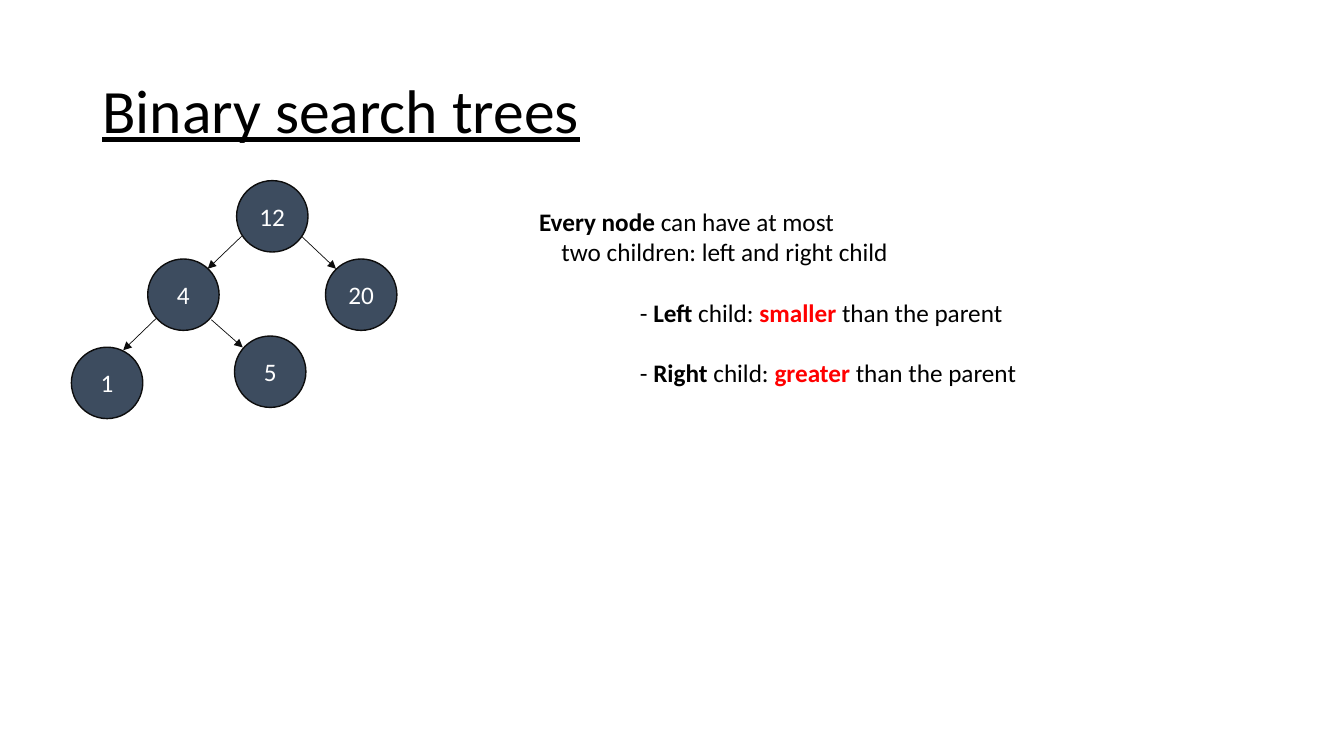
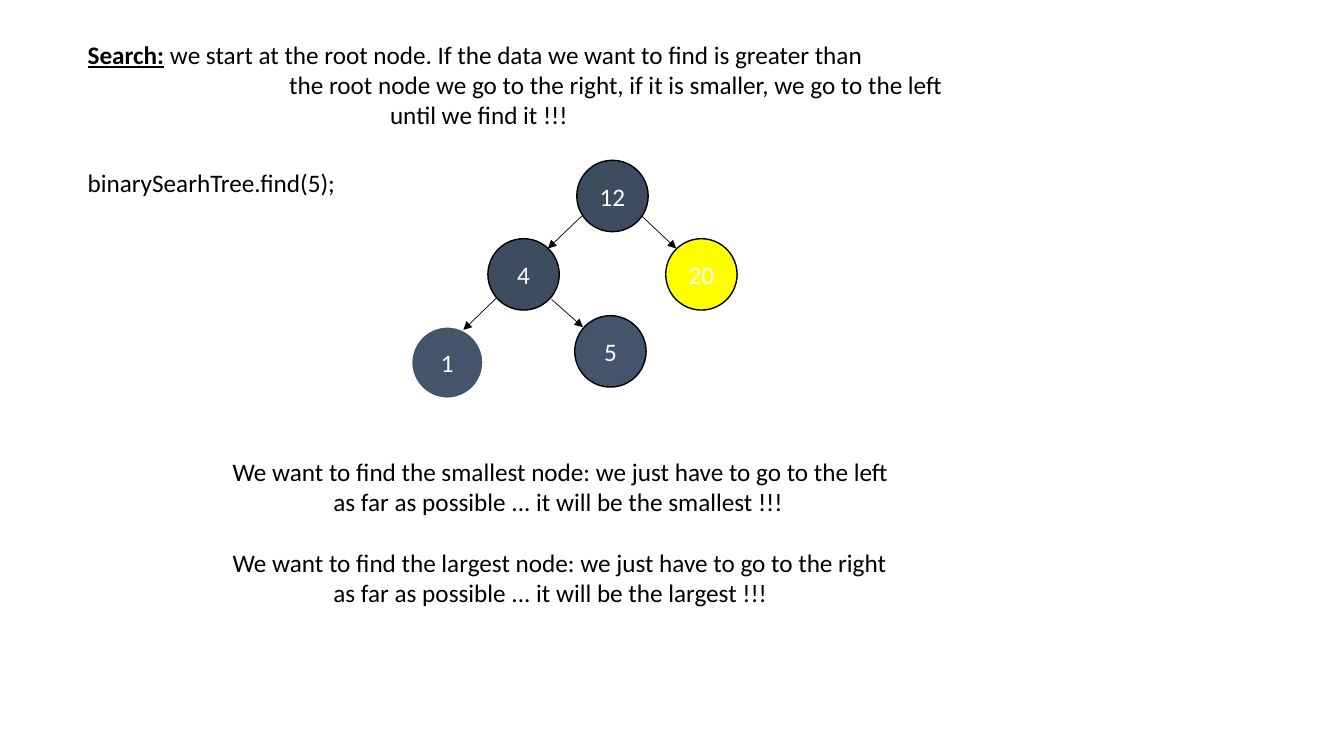
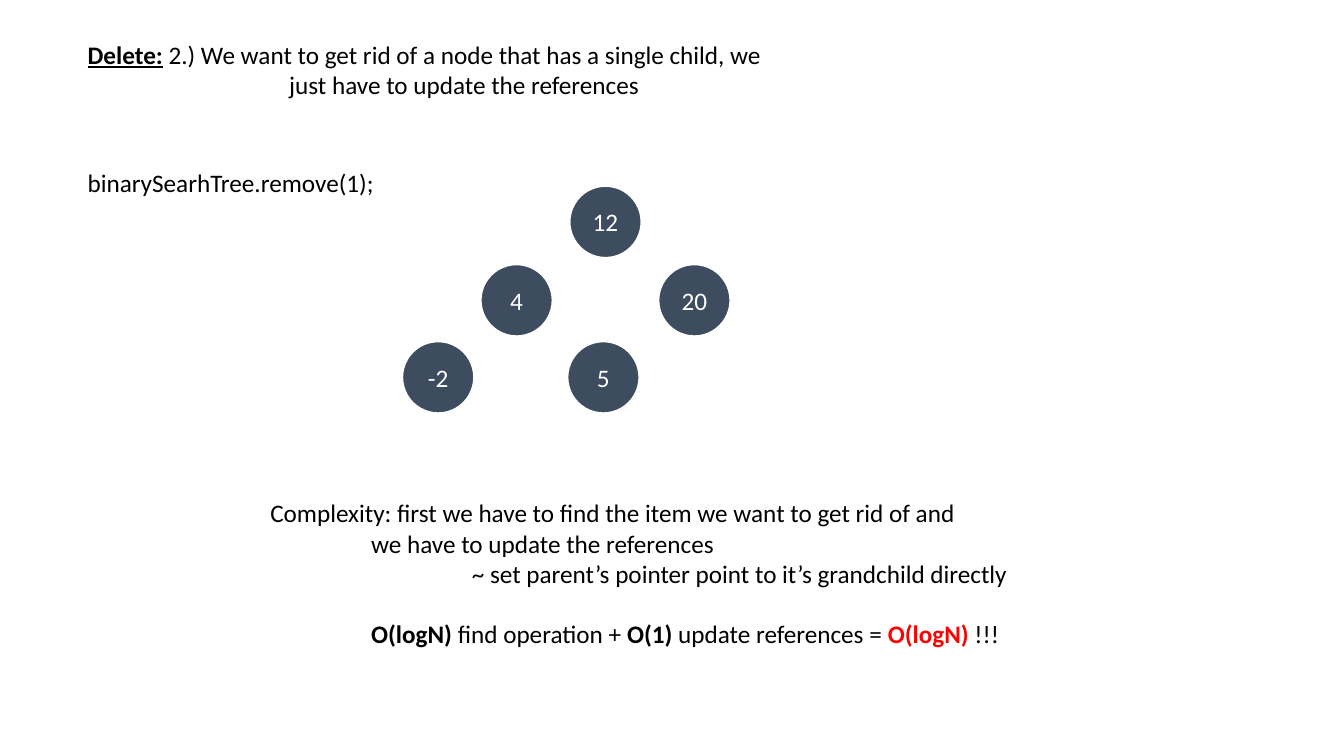
from lxml.etree import SubElement
from pptx import Presentation
from pptx.dml.color import RGBColor
from pptx.enum.shapes import MSO_CONNECTOR, MSO_SHAPE
from pptx.enum.text import MSO_ANCHOR, PP_ALIGN
from pptx.oxml.ns import qn
from pptx.util import Pt

BLACK = RGBColor(0x00, 0x00, 0x00)
NEAR_BLACK = RGBColor(0x0D, 0x0D, 0x0D)
WHITE = RGBColor(0xFF, 0xFF, 0xFF)
RED = RGBColor(0xFF, 0x00, 0x00)
YELLOW = RGBColor(0xFF, 0xFF, 0x00)
SLATE = RGBColor(0x3D, 0x4C, 0x5F)
STEEL = RGBColor(0x44, 0x54, 0x6A)

FONT = "Calibri"
TAB = 72
BLANK_LINE = 21.6
NODE_SIZE = 51

BOLD = {"bold": True}
STRONG_RED = {"bold": True, "color": RED}
HEADING = {"bold": True, "underline": True}
TITLE = {"size": 44, "underline": True}

NODE_OFFSETS = {
    "12": (0, 0),
    "4": (-63.5, 56),
    "20": (63.5, 56),
    "5": (-1.5, 111),
    "1": (-118, 119),
    "-2": (-119.5, 111),
}
ARROWS = [
    (3.6, 39.8, -20.6, 63),
    (46.4, 39.8, 71, 63),
    (-18, 99.4, 4.4, 119.2),
    (-57, 98, -81, 121.2),
]


def write(para, text, size=18, color=BLACK, bold=False, underline=False):
    span = para.add_run()
    span.text = text
    span.font.name = FONT
    span.font.size = Pt(size)
    span.font.color.rgb = color
    span.font.bold = bold
    span.font.underline = underline


def add_box(page, left, top, width, height, lines):
    box = page.shapes.add_textbox(Pt(left), Pt(top), Pt(width), Pt(height))
    frame = box.text_frame
    frame.word_wrap = True
    for number, (indent, space, spans) in enumerate(lines):
        para = frame.add_paragraph() if number else frame.paragraphs[0]
        para.space_before = Pt(space)
        para._p.get_or_add_pPr().set("marL", str(Pt(indent)))
        for text, style in spans:
            write(para, text, **style)
    return frame


deck = Presentation()
deck.slide_width = Pt(960)
deck.slide_height = Pt(540)
tree_page, search_page, delete_page = [
    deck.slides.add_slide(deck.slide_layouts[6]) for _ in range(3)
]

title = add_box(tree_page, 66, 29, 828, 104, [(0, 0, [("Binary search trees", TITLE)])])
title.vertical_anchor = MSO_ANCHOR.MIDDLE
title.paragraphs[0].line_spacing = 0.9

add_box(tree_page, 378, 144, 400, 138, [
    (0, 0, [("Every node ", BOLD), ("can have at most", {})]),
    (16, 0, [("two children: left and right child", {})]),
    (TAB, BLANK_LINE, [("- ", {}), ("Left ", BOLD), ("child: ", {}),
                       ("smaller", STRONG_RED), (" than the parent", {})]),
    (TAB, BLANK_LINE, [("- ", {}), ("Right ", BOLD), ("child: ", {}),
                       ("greater", STRONG_RED), (" than the parent", {})]),
])

add_box(search_page, 55.5, 24.5, 716, 73, [
    (0, 0, [("Search:", HEADING),
            (" we start at the root node. If the data we want to find is greater than", {})]),
    (2 * TAB, 0, [("the root node we go to the right, if it is smaller, we go to the left", {})]),
    (3 * TAB, 0, [("until we find it !!!", {})]),
])
add_box(search_page, 159, 322.5, 578, 138, [
    (0, 0, [("We want to find the smallest node: we just have to go to the left", {})]),
    (TAB, 0, [("as far as possible ... it will be the smallest !!!", {})]),
    (0, BLANK_LINE, [("We want to find the largest node: we just have to go to the right", {})]),
    (TAB, 0, [("as far as possible ... it will be the largest !!!", {})]),
])

add_box(delete_page, 55.5, 24.5, 604, 73, [
    (0, 0, [("Delete:", HEADING),
            (" 2.) We want to get rid of a node that has a single child, we", {})]),
    (2 * TAB, 0, [("just have to update the references", {})]),
])
add_box(delete_page, 186, 352, 631, 117, [
    (0, 0, [("Complexity: first we have to find the item we want to get rid of and", {})]),
    (TAB, 0, [("we have to update the references", {})]),
    (2 * TAB, 0, [("~ set parent’s pointer point to it’s grandchild directly", {})]),
    (TAB, BLANK_LINE, [("O(logN)", BOLD), (" find operation + ", {}), ("O(1)", BOLD),
                       (" update references = ", {}), ("O(logN)", STRONG_RED), (" !!!", {})]),
])

for page, call in [
    (search_page, "binarySearhTree.find(5);"),
    (delete_page, "binarySearhTree.remove(1);"),
]:
    add_box(page, 55.5, 116, 258, 29, [(0, 0, [(call, {})])])

TREES = [
    (tree_page, 169, 129, NEAR_BLACK, ["12", "4", "5", "20", "1"], {}, {}, ARROWS),
    (search_page, 412, 114.5, BLACK, ["12", "4", "5", "20", "1"],
     {"5": STEEL, "20": YELLOW, "1": STEEL}, {"1": WHITE}, ARROWS),
    (delete_page, 407, 133, WHITE, ["12", "4", "5", "20", "-2"], {}, {}, []),
]
for page, left, top, outline, labels, fills, outlines, arrows in TREES:
    for label in labels:
        across, down = NODE_OFFSETS[label]
        node = page.shapes.add_shape(
            MSO_SHAPE.OVAL, Pt(left + across), Pt(top + down), Pt(NODE_SIZE), Pt(NODE_SIZE)
        )
        node.shadow.inherit = False
        node.fill.solid()
        node.fill.fore_color.rgb = fills.get(label, SLATE)
        node.line.color.rgb = outlines.get(label, outline)
        node.line.width = Pt(1)
        frame = node.text_frame
        frame.margin_left = frame.margin_right = Pt(0)
        frame.vertical_anchor = MSO_ANCHOR.MIDDLE
        para = frame.paragraphs[0]
        para.alignment = PP_ALIGN.CENTER
        write(para, label, color=WHITE)
    for x1, y1, x2, y2 in arrows:
        arrow = page.shapes.add_connector(
            MSO_CONNECTOR.STRAIGHT,
            Pt(left + x1), Pt(top + y1), Pt(left + x2), Pt(top + y2),
        )
        arrow.line.color.rgb = outline
        arrow.line.width = Pt(0.5)
        properties = arrow._element.spPr
        SubElement(properties.find(qn("a:ln")), qn("a:tailEnd"), type="triangle")
        SubElement(properties, qn("a:effectLst"))

deck.save("out.pptx")
